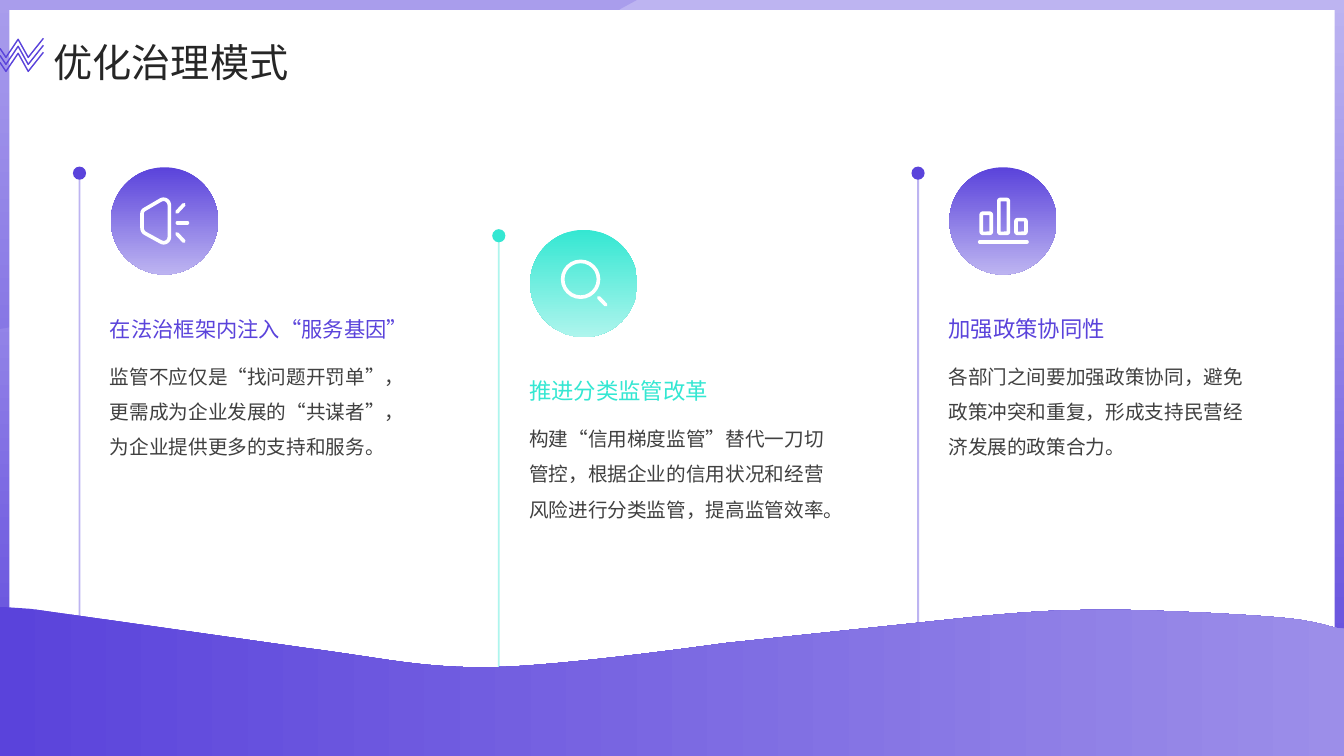
from pptx import Presentation
from pptx.dml.color import RGBColor
from pptx.enum.shapes import MSO_CONNECTOR, MSO_SHAPE
from pptx.enum.text import MSO_ANCHOR, MSO_AUTO_SIZE, PP_ALIGN
from pptx.oxml.ns import qn
from pptx.util import Pt
from lxml import etree

RECT, OVAL, ROUNDED = MSO_SHAPE.RECTANGLE, MSO_SHAPE.OVAL, MSO_SHAPE.ROUNDED_RECTANGLE
STRAIGHT = MSO_CONNECTOR.STRAIGHT
TOP, MIDDLE, BOTTOM = MSO_ANCHOR.TOP, MSO_ANCHOR.MIDDLE, MSO_ANCHOR.BOTTOM
FONT = "Noto Sans CJK SC"
COLORS = {
    "purple": "5A43DB", "lilac": "BDB4F1", "violet": "9C8EE9",
    "teal": "34E7D2", "mint": "AEF5ED",
    "white": "FFFFFF", "ink": "262626", "gray": "404040",
}

TITLE = "优化治理模式"
COLUMNS = [
    {"heading": "在法治框架内注入“服务基因”", "size": 15.2, "drop": 0,
     "colors": ("purple", "lilac"), "icon": "megaphone",
     "body": "监管不应仅是“找问题开罚单”，更需成为企业发展的“共谋者”，为企业提供更多的支持和服务。"},
    {"heading": "推进分类监管改革", "size": 16, "drop": 44.7,
     "colors": ("teal", "mint"), "icon": "magnifier",
     "body": "构建“信用梯度监管”替代一刀切管控，根据企业的信用状况和经营风险进行分类监管，提高监管效率。"},
    {"heading": "加强政策协同性", "size": 16, "drop": 0,
     "colors": ("purple", "lilac"), "icon": "bars",
     "body": "各部门之间要加强政策协同，避免政策冲突和重复，形成支持民营经济发展的政策合力。"},
]
ICONS = {
    "megaphone": {
        "outlines": [[(22.3, 33.1), (22.3, 31.8, 23, 30.6, 24.5, 29.9), (35.6, 23.4),
                      (38.6, 21.8, 41.8, 24, 41.8, 27.4), (41.8, 49.7),
                      (41.8, 52.8, 38.6, 55, 35.6, 53.3), (24.5, 47.2),
                      (23, 46.3, 22.3, 44.8, 22.3, 43.2)]],
        "strokes": [(47.2, 32, 52.2, 26.6), (47.5, 39.6, 54.7, 39.6), (47.2, 47.5, 52.2, 52.9)],
    },
    "magnifier": {
        "shapes": [(OVAL, 23.2, 22.5, 25.6, 25.6)],
        "strokes": [(49, 48.4, 54, 53.6)],
    },
    "bars": {
        "shapes": [(ROUNDED, 22.7, 32.8, 7.2, 14.4), (ROUNDED, 35.3, 23, 6.8, 24.2),
                   (ROUNDED, 47.5, 37.4, 7.2, 9.8)],
        "strokes": [(21.6, 53.3, 55.4, 53.3)],
    },
}
RIBBON = [(0, 0), (455, 0), (444, 6), (429, 16, 415, 23, 406, 27),
          (370, 44, 310, 6, 271, 17), (232, 27, 204, 73, 171, 89),
          (138, 106, 90, 94, 69, 114), (48, 135, 62, 189, 44, 210),
          (35, 221, 22, 228, 6, 234), (0, 235)]
WAVE = [(0, 433.4), (21.6, 434.9), (219.6, 463),
        (275, 470.2, 301.7, 477.4, 351.4, 476.6), (401, 475.9, 517.7, 459.4, 517.7, 459.4),
        (702.7, 439.9), (750.2, 435.6, 765.4, 435.6, 800.6, 435.6),
        (836.6, 436.3, 885.6, 438.5, 917.3, 441.4),
        (933, 442.8, 943.9, 445.7, 954.7, 448.6), (960, 449.3), (960, 540), (0, 540)]
ZIGZAG = [(0, 34.6), (4.3, 41), (13, 28.1), (20.2, 41), (31, 27.4)]

WIDTH, HEIGHT = 960, 540
COLUMN_LEFT, COLUMN_PITCH, COLUMN_WIDTH = 78.5, 299.5, 213.8
DISC, DOT, STEM = 76.6, 9.4, 1.4
ICON_STROKE = 2.6
CURVE_STEPS = 16


def rgb(name):
    return RGBColor.from_string(COLORS[name])


def paint(sp, fill=None, line=None, weight=1, angle=270):
    sp.shadow.inherit = False
    if fill is None:
        sp.fill.background()
    elif isinstance(fill, tuple):
        sp.fill.gradient()
        sp.fill.gradient_angle = angle
        for stop, name in zip(sp.fill.gradient_stops, fill):
            stop.color.rgb = rgb(name)
    else:
        sp.fill.solid()
        sp.fill.fore_color.rgb = rgb(fill)
    if line is None:
        sp.line.fill.background()
    else:
        sp.line.color.rgb = rgb(line)
        sp.line.width = Pt(weight)
    return sp


def add_preset(s, kind, x, y, w, h, **style):
    return paint(s.shapes.add_shape(kind, Pt(x), Pt(y), Pt(w), Pt(h)), **style)


def flatten(steps):
    points = []
    for step in steps:
        if len(step) == 2:
            points.append(step)
            continue
        x0, y0 = points[-1]
        x1, y1, x2, y2, x3, y3 = step
        for i in range(1, CURVE_STEPS + 1):
            t = i / CURVE_STEPS
            a, b, c, d = (1 - t) ** 3, 3 * t * (1 - t) ** 2, 3 * t * t * (1 - t), t ** 3
            points.append((a * x0 + b * x1 + c * x2 + d * x3,
                           a * y0 + b * y1 + c * y2 + d * y3))
    return points


def add_outline(s, steps, dx=0, dy=0, close=True, **style):
    points = [(Pt(x + dx), Pt(y + dy)) for x, y in flatten(steps)]
    builder = s.shapes.build_freeform(*points[0])
    builder.add_line_segments(points[1:], close=close)
    return paint(builder.convert_to_shape(), **style)


def add_stroke(s, x1, y1, x2, y2):
    line = s.shapes.add_connector(STRAIGHT, Pt(x1), Pt(y1), Pt(x2), Pt(y2))
    line.line.color.rgb = rgb("white")
    line.line.width = Pt(ICON_STROKE)
    properties = line.element.find(qn("p:spPr"))
    properties.find(qn("a:ln")).set("cap", "rnd")
    etree.SubElement(properties, qn("a:effectLst"))


def write(sp, text, size, color, spacing, anchor, insets=None):
    tf = sp.text_frame
    tf.word_wrap = True
    tf.auto_size = MSO_AUTO_SIZE.NONE
    tf.vertical_anchor = anchor
    if insets is not None:
        tf.margin_left = tf.margin_right = 0
        tf.margin_top = tf.margin_bottom = Pt(insets)
    p = tf.paragraphs[0]
    p.alignment = PP_ALIGN.LEFT
    p.line_spacing = spacing
    r = p.add_run()
    r.text = text
    r.font.name = FONT
    r.font.size = Pt(size)
    r.font.color.rgb = rgb(color)
    etree.SubElement(r.font._element, qn("a:ea")).set("typeface", FONT)


def add_icon(s, icon, x, y):
    style = {"line": "white", "weight": ICON_STROKE}
    for steps in icon.get("outlines", []):
        add_outline(s, steps, x, y, **style)
    for kind, left, top, w, h in icon.get("shapes", []):
        add_preset(s, kind, x + left, y + top, w, h, **style)
    for x1, y1, x2, y2 in icon["strokes"]:
        add_stroke(s, x + x1, y + y1, x + x2, y + y2)


def add_column(s, index, column):
    x, drop = COLUMN_LEFT + index * COLUMN_PITCH, column["drop"]
    strong, soft = column["colors"]
    stem_top = 128 + drop
    add_preset(s, RECT, x - 22.4, stem_top, STEM, 496 - stem_top, fill=soft)
    add_preset(s, OVAL, x - 26.4, 119 + drop, DOT, DOT, fill=strong)
    add_preset(s, OVAL, x + 0.7, 119.5 + drop, DISC, DISC, fill=(strong, soft))
    add_icon(s, ICONS[column["icon"]], x + 0.7, 119.5 + drop)
    heading = s.shapes.add_textbox(Pt(x), Pt(201.6 + drop), Pt(COLUMN_WIDTH), Pt(46))
    write(heading, column["heading"], column["size"], strong, 1.3, BOTTOM, 3.6)
    body = s.shapes.add_textbox(Pt(x), Pt(252 + drop), Pt(COLUMN_WIDTH), Pt(130))
    write(body, column["body"], 14, "gray", 1.5, TOP, 0)


def main():
    prs = Presentation()
    prs.slide_width, prs.slide_height = Pt(WIDTH), Pt(HEIGHT)
    s = prs.slides.add_slide(prs.slide_layouts[5])

    add_preset(s, RECT, 0, 0, WIDTH, HEIGHT, fill=("lilac", "purple"))
    ribbon = add_outline(s, RIBBON, fill="purple")
    ribbon_color = ribbon.element.spPr.find(qn("a:solidFill"))[0]
    etree.SubElement(ribbon_color, qn("a:alpha")).set("val", "20000")
    add_preset(s, RECT, 6.7, 7.2, 946.6, 525, fill="white")

    for index, column in enumerate(COLUMNS):
        add_column(s, index, column)
    add_outline(s, WAVE, fill=("purple", "violet"), angle=0)

    title = s.shapes.title
    title.left, title.top, title.width, title.height = Pt(31), Pt(18.7), Pt(855.4), Pt(40.3)
    write(title, TITLE, 28, "ink", 1.3, MIDDLE)
    s.shapes.element.append(title.element)
    for row in range(3):
        add_outline(s, ZIGZAG, dy=5 * row, close=False, line="purple")

    prs.save("out.pptx")


if __name__ == "__main__":
    main()
